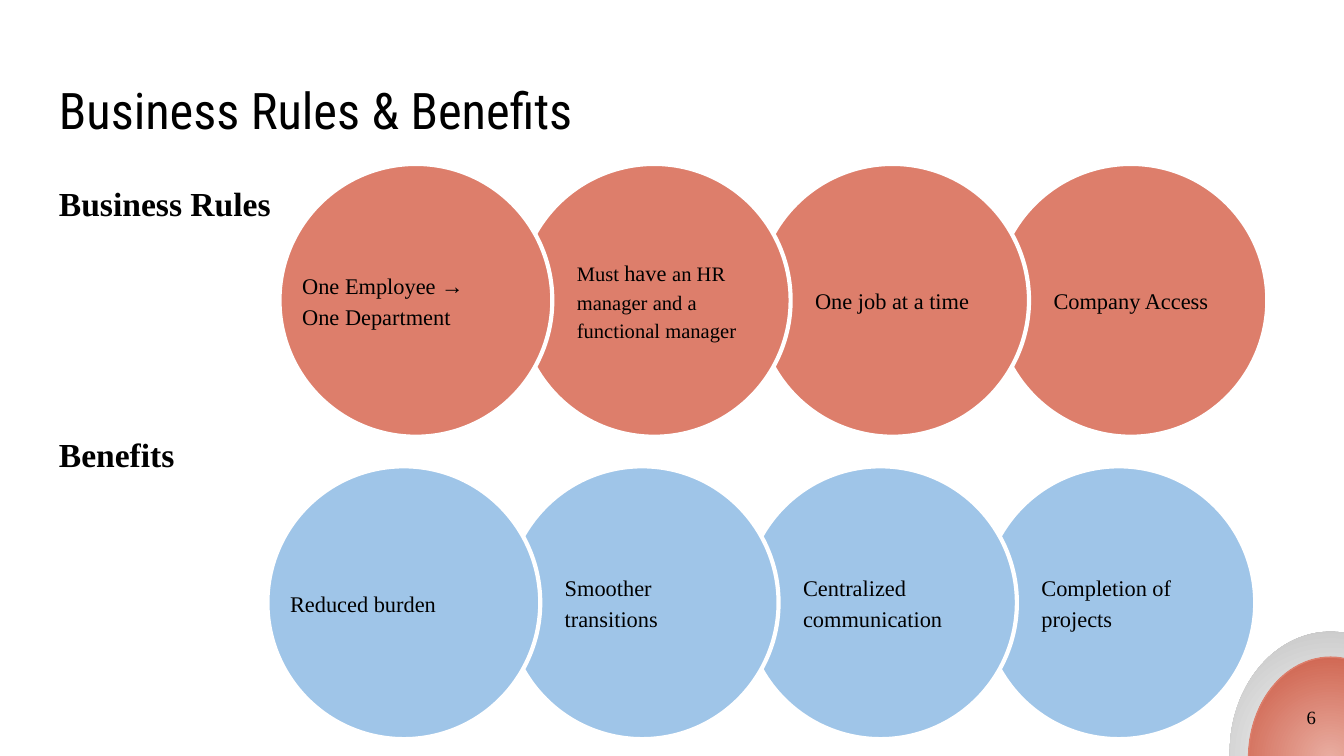
import pptx
import pptx.dml.color
import pptx.enum.shapes
import pptx.enum.text
import pptx.oxml
import pptx.oxml.ns
import pptx.util
from pptx.util import Inches

COLORS = {
    "text": "000000", "outline": "FFFFFF", "rules": "DD7E6B", "benefits": "9FC5E8",
    "ring_in": "FFFFFF", "ring_out": "BEBEBE", "core_in": "E9ADA1", "core_out": "CA553E",
}
SERIF = "Times New Roman"
SHAPE = pptx.enum.shapes.MSO_SHAPE
ANCHOR = pptx.enum.text.MSO_ANCHOR
ALIGN = pptx.enum.text.PP_ALIGN
RULES = [
    [[("One Employee →", 12)], [("One Department", 12)]],
    [[("Must ", 11), ("have ", 12), ("an HR manager and a functional manager", 11)]],
    [[("One job at a time", 12)]],
    [[("Company Access", 12)]],
]
BENEFITS = [[[(text, 12)]] for text in (
    "Reduced burden", "Smoother transitions", "Centralized communication",
    "Completion of projects")]


def rgb(name):
    return pptx.dml.color.RGBColor.from_string(COLORS[name])


def write_text(sp, paragraphs, font=SERIF, bold=False, align=ALIGN.LEFT,
               anchor=ANCHOR.TOP, line_spacing=None, gap=0):
    """Fill a shape with paragraphs, each a list of (text, size) runs."""
    tf = sp.text_frame
    tf.word_wrap = True
    tf.vertical_anchor = anchor
    tf.margin_left = tf.margin_right = tf.margin_top = tf.margin_bottom = Inches(0.1)
    for i, runs in enumerate(paragraphs):
        p = tf.add_paragraph() if i else tf.paragraphs[0]
        p.alignment = align
        if line_spacing:
            p.line_spacing = line_spacing
        if i and gap:
            p.space_before = pptx.util.Pt(gap)
        for text, size in runs:
            r = p.add_run()
            r.text = text
            r.font.name = font
            r.font.size = pptx.util.Pt(size)
            r.font.bold = bold
            r.font.color.rgb = rgb("text")


def add_text(s, box, paragraphs, **fmt):
    sp = s.shapes.add_textbox(*map(Inches, box))
    write_text(sp, paragraphs, **fmt)


def add_filled(shapes, kind, box, fill=None, line=None, width=0.75):
    sp = shapes.add_shape(kind, *map(Inches, box))
    sp.shadow.inherit = False
    if fill:
        sp.fill.solid()
        sp.fill.fore_color.rgb = rgb(fill)
    if line:
        sp.line.color.rgb = rgb(line)
        sp.line.width = pptx.util.Pt(width)
    else:
        sp.line.fill.background()
    return sp


def radial_fill(sp, inner, outer):
    sp.fill.gradient()
    for stop, name in zip(sp.fill.gradient_stops, (inner, outer)):
        stop.color.rgb = rgb(name)
    grad = sp.element.spPr.find(pptx.oxml.ns.qn("a:gradFill"))
    grad.remove(grad.find(pptx.oxml.ns.qn("a:lin")))
    grad.append(pptx.oxml.parse_xml(
        f'<a:path {pptx.oxml.ns.nsdecls("a")} path="circle">'
        '<a:fillToRect l="50000" t="50000" r="50000" b="50000"/></a:path>'))


def page_corner(s, x, y, number):
    ring = add_filled(s.shapes, SHAPE.OVAL, (x, y, 1.5, 1.8))
    radial_fill(ring, "ring_in", "ring_out")
    core = add_filled(s.shapes, SHAPE.OVAL, (x + 0.14, y + 0.19, 1.22, 1.5), line="rules")
    radial_fill(core, "core_in", "core_out")
    add_text(s, (x + 0.14, y + 0.42, 0.6, 0.43), [[(number, 10)]],
             align=ALIGN.RIGHT, anchor=ANCHOR.MIDDLE)


def circle_row(s, x, y, w, d, labels, color, first_width=1.41):
    """Overlapping circles across width w, drawn right to left so the left one is on top."""
    step = (w - d) / (len(labels) - 1)
    for i, label in reversed(list(enumerate(labels))):
        left = x + i * step
        group = s.shapes.add_group_shape()
        add_filled(group.shapes, SHAPE.OVAL, (left, y, d, d), color, "outline", 2.25)
        inset, width = (0.34, 1.41) if i else (0.07, first_width)
        sp = add_filled(group.shapes, SHAPE.RECTANGLE,
                        (left + inset, y + 0.72, width, 0.57), color)
        write_text(sp, label, anchor=ANCHOR.MIDDLE, line_spacing=1.15)


def main():
    prs = pptx.Presentation()
    prs.slide_width = Inches(10)
    prs.slide_height = prs.slide_width * 9 // 16
    s = prs.slides.add_slide(prs.slide_layouts[6])
    page_corner(s, 9.15, 4.7, "6")
    add_text(s, (0.34, 0.49, 9.32, 0.63), [[("Business Rules & Benefits", 27)]],
             font="Roboto Condensed")
    add_text(s, (0.34, 1.26, 2.03, 3.74), [[("Business Rules", 18)], [("Benefits", 18)]],
             bold=True, gap=113)
    circle_row(s, 1.99, 3.47, 7.35, 2.03, BENEFITS, "benefits")
    circle_row(s, 2.08, 1.22, 7.35, 2.03, RULES, "rules", first_width=1.88)
    prs.save("out.pptx")


if __name__ == "__main__":
    main()
